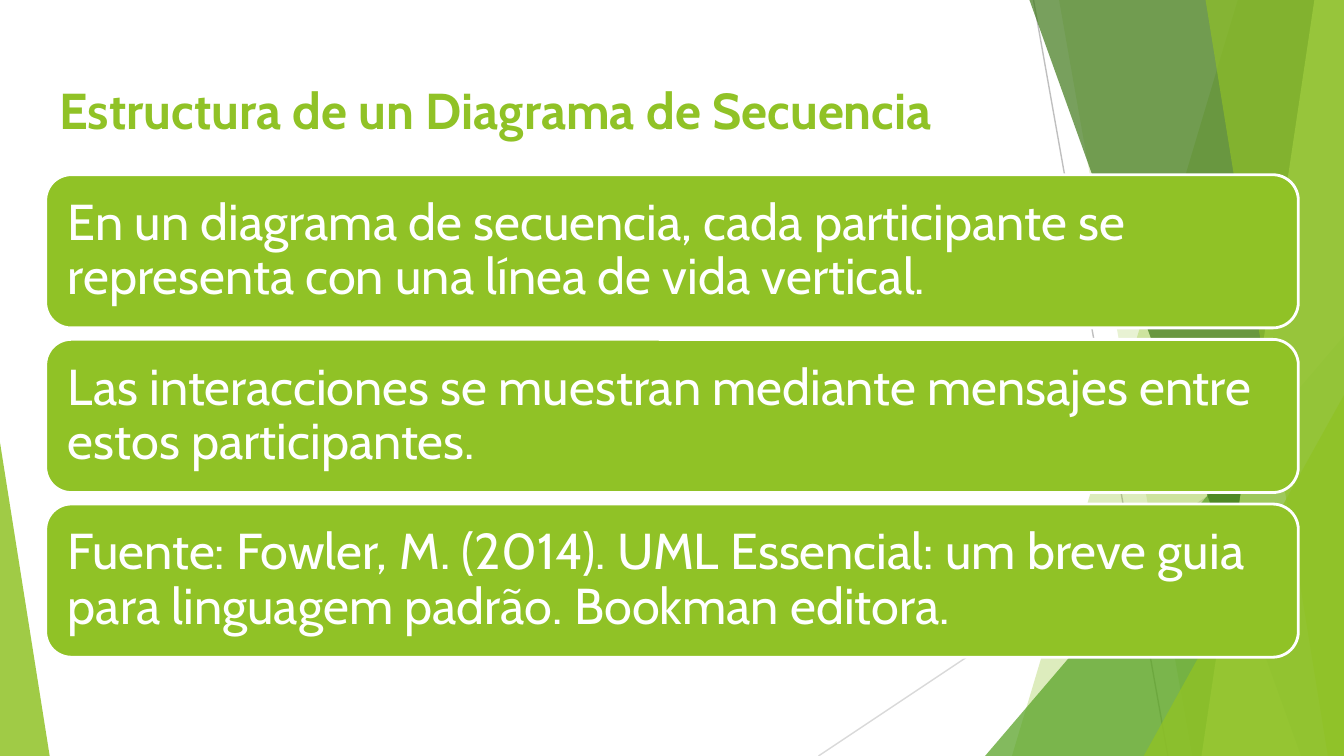
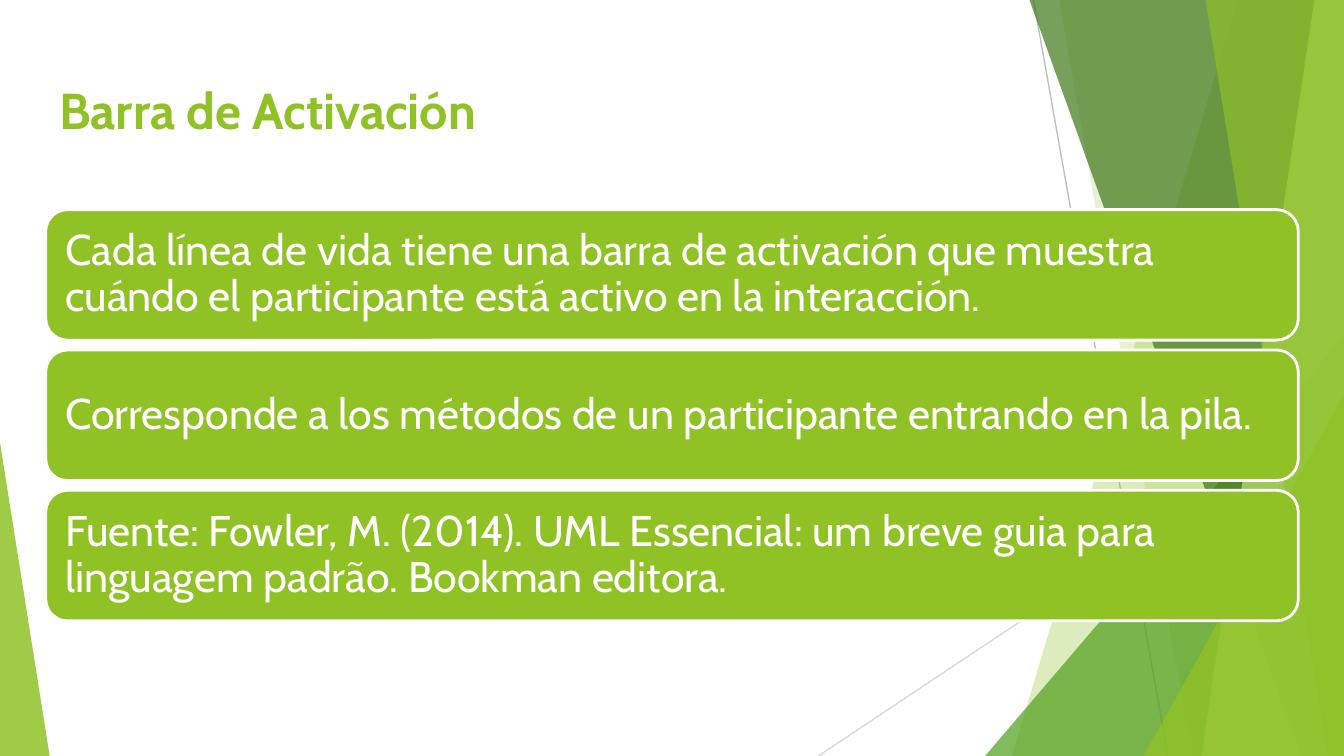
from dataclasses import dataclass

from lxml.etree import SubElement
from pptx import Presentation
from pptx.dml.color import RGBColor
from pptx.enum.shapes import MSO_CONNECTOR, MSO_SHAPE
from pptx.enum.text import MSO_ANCHOR, MSO_AUTO_SIZE, PP_ALIGN
from pptx.oxml.ns import qn
from pptx.util import Inches, Pt


@dataclass(frozen=True)
class Theme:
    """Fonts, colours and type sizes of the deck."""
    font: str = "Cabin"
    white: str = "FFFFFF"
    lime: str = "90C226"
    pale_lime: str = "C0E474"
    green: str = "54A021"
    dark_green: str = "3F7819"
    gray: str = "BFBFBF"
    light_gray: str = "D9D9D9"
    title_size: int = 27
    large_size: int = 27
    medium_size: int = 23
    card_line: float = 1.5
    thin_line: float = 0.75


@dataclass(frozen=True)
class Box:
    """A rectangle in grid cells, one hundred of which span the slide."""
    left: float
    top: float
    width: float
    height: float

    def lengths(self):
        """Return the four lengths for python-pptx."""
        return [cells(n) for n in (self.left, self.top, self.width, self.height)]

    def rows(self, count, gap_share):
        """Split the box into equal rows with gaps a share of their height."""
        height = self.height / (count + (count - 1) * gap_share)
        pitch = height * (1 + gap_share)
        return [Box(self.left, self.top + i * pitch, self.width, height)
                for i in range(count)]


THEME = Theme()
SLIDE = Box(0, 0, 100, 56.25)
TITLE = Box(3.4, 4.9, 93.2, 6.3)
CARD_GAP = 0.075

FUENTE = ("Fuente: Fowler, M. (2014). UML Essencial: um breve guia "
          "para linguagem padrão. Bookman editora.")
PAGES = [
    dict(title="Estructura de un Diagrama de Secuencia",
         box=Box(3.4, 13, 93.2, 35.9), size=THEME.large_size, inset=1.1,
         texts=["En un diagrama de secuencia, cada participante se representa "
                "con una línea de vida vertical.",
                "Las interacciones se muestran mediante mensajes entre estos "
                "participantes.",
                FUENTE]),
    dict(title="Barra de Activación",
         box=Box(3.4, 15.6, 93.2, 30.6), size=THEME.medium_size, inset=1,
         texts=["Cada línea de vida tiene una barra de activación que muestra "
                "cuándo el participante está activo en la interacción.",
                "Corresponde a los métodos de un participante entrando en la pila.",
                FUENTE]),
]


def cells(count):
    """Convert grid cells to a length."""
    return Inches(count / 10)


def write(frame, text, size, color, bold=False, inset=1,
          anchor=MSO_ANCHOR.TOP, spacing=1.0):
    """Put one left-aligned paragraph in a text frame."""
    frame.word_wrap = True
    frame.auto_size = MSO_AUTO_SIZE.NONE
    frame.vertical_anchor = anchor
    frame.margin_left = frame.margin_right = cells(inset)
    frame.margin_top = frame.margin_bottom = cells(inset)
    para = frame.paragraphs[0]
    para.alignment = PP_ALIGN.LEFT
    para.line_spacing = spacing
    span = para.add_run()
    span.text = text
    span.font.name = THEME.font
    span.font.size = Pt(size)
    span.font.bold = bold
    span.font.color.rgb = RGBColor.from_string(color)


def paint(shape, color, opacity=100):
    """Give a shape a flat fill without line or shadow."""
    shape.shadow.inherit = False
    shape.fill.solid()
    shape.fill.fore_color.rgb = RGBColor.from_string(color)
    if opacity < 100:
        tint = shape._element.spPr.find(".//" + qn("a:srgbClr"))
        SubElement(tint, qn("a:alpha")).set("val", str(opacity * 1000))
    shape.line.fill.background()


def add_ray(shapes, start, end, color):
    """Draw a thin straight line between two grid points."""
    ray = shapes.add_connector(MSO_CONNECTOR.STRAIGHT,
                               *[cells(n) for n in (*start, *end)])
    ray.line.color.rgb = RGBColor.from_string(color)
    ray.line.width = Pt(THEME.thin_line)
    SubElement(ray._element.spPr, qn("a:effectLst"))


def add_facet(shapes, box, top_x, bottom_x, color, opacity):
    """Draw a facet from a slanted left edge to the right edge of the box."""
    right, bottom = box.left + box.width, box.top + box.height
    corners = [(top_x, box.top), (right, box.top), (right, bottom), (bottom_x, bottom)]
    points = [(cells(x), cells(y)) for x, y in corners]
    builder = shapes.build_freeform(*points[0], scale=1.0)
    builder.add_line_segments(points[1:], close=True)
    paint(builder.convert_to_shape(), color, opacity)


def add_wedge(shapes, box, apex, color, opacity):
    """Draw a triangle whose apex lies at a share of its width."""
    wedge = shapes.add_shape(MSO_SHAPE.ISOSCELES_TRIANGLE, *box.lengths())
    wedge.adjustments[0] = apex
    paint(wedge, color, opacity)


def add_backdrop(page, box):
    """Draw the faceted backdrop and move it to the layout of the page."""
    group = page.shapes.add_group_shape()
    shapes = group.shapes
    right, bottom = box.left + box.width, box.top + box.height
    add_ray(shapes, (76.9, box.top), (86.9, bottom), THEME.gray)
    add_ray(shapes, (right, 30.2), (60.9, bottom), THEME.light_gray)
    add_facet(shapes, box, 92.1, 75.3, THEME.lime, 30)
    add_facet(shapes, box, 78.8, 88.7, THEME.lime, 20)
    add_wedge(shapes, Box(73.3, 25, right - 73.3, bottom - 25), 1, THEME.green, 72)
    add_facet(shapes, box, 76.6, 96.8, THEME.dark_green, 70)
    add_facet(shapes, box, 97.8, 89.4, THEME.pale_lime, 70)
    add_facet(shapes, box, 89.7, 98.8, THEME.lime, 65)
    add_wedge(shapes, Box(85.1, 29.4, right - 85.1, bottom - 29.4), 1, THEME.lime, 80)
    add_wedge(shapes, Box(box.left, 32.9, 3.7, bottom - 32.9), 0, THEME.lime, 85)
    for number, node in enumerate(group._element.iter(qn("p:cNvPr")), 100):
        node.set("id", str(number))
    page.slide_layout.shapes._spTree.insert(2, group._element)


def add_title(page, box, text):
    """Place and fill the title placeholder."""
    title = page.shapes.title
    title.left, title.top, title.width, title.height = box.lengths()
    write(title.text_frame, text, size=THEME.title_size, color=THEME.lime, bold=True)


def add_cards(page, box, texts, size, inset):
    """Stack one rounded card for each text in the box."""
    for row, text in zip(box.rows(len(texts), CARD_GAP), texts):
        card = page.shapes.add_shape(MSO_SHAPE.ROUNDED_RECTANGLE, *row.lengths())
        paint(card, THEME.lime)
        card.line.color.rgb = RGBColor.from_string(THEME.white)
        card.line.width = Pt(THEME.card_line)
        write(card.text_frame, text, size=size, color=THEME.white, inset=inset,
              anchor=MSO_ANCHOR.MIDDLE, spacing=0.9)


def main():
    """Build and save the deck."""
    deck = Presentation()
    deck.slide_width, deck.slide_height = cells(SLIDE.width), cells(SLIDE.height)
    layout = deck.slide_layouts.get_by_name("Title Only")
    pages = [deck.slides.add_slide(layout) for _ in PAGES]
    add_backdrop(pages[0], SLIDE)
    for page, content in zip(pages, PAGES):
        add_title(page, TITLE, content["title"])
        add_cards(page, content["box"], content["texts"],
                  content["size"], content["inset"])
    deck.save("out.pptx")


if __name__ == "__main__":
    main()
